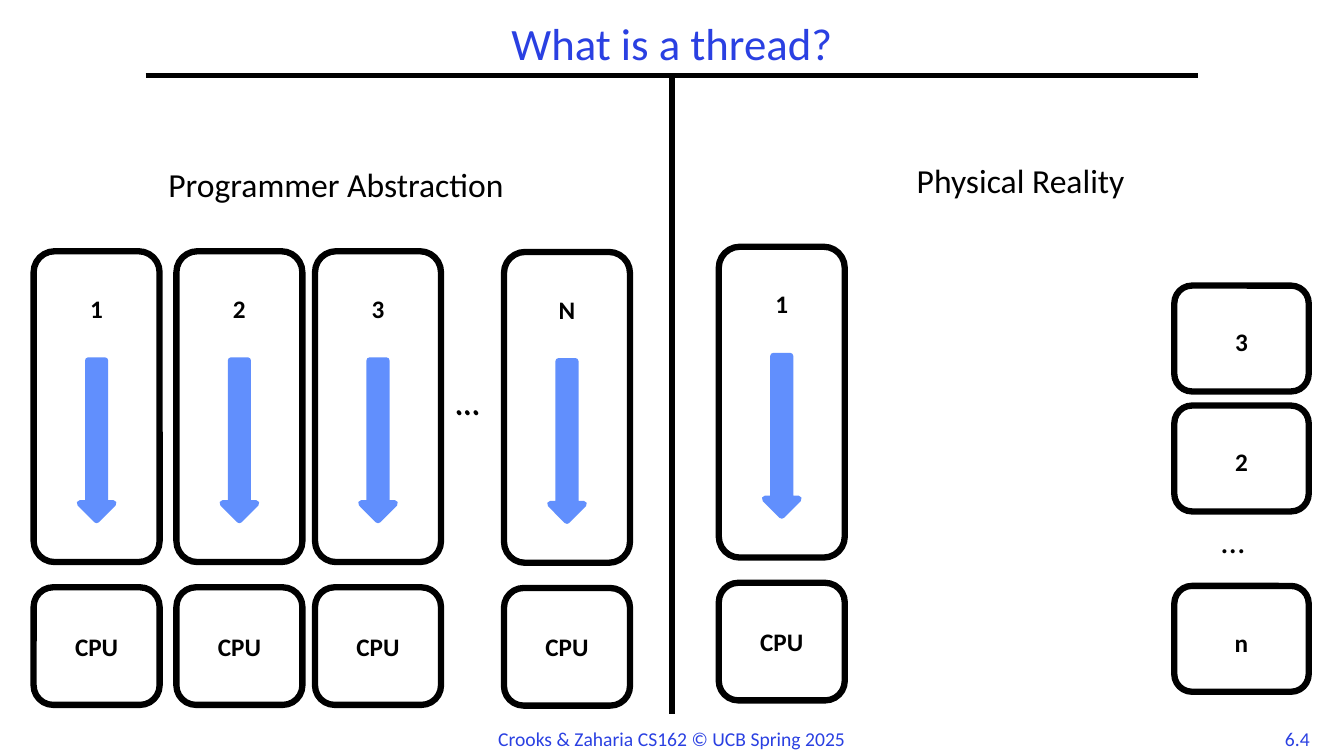
from dataclasses import dataclass

from lxml.etree import SubElement
from pptx import Presentation
from pptx.dml.color import RGBColor
from pptx.enum.shapes import MSO_CONNECTOR as Connector, MSO_SHAPE as Preset
from pptx.enum.text import MSO_ANCHOR as Anchor, PP_ALIGN as Align
from pptx.oxml.ns import qn
from pptx.util import Pt

FONT = "Calibri"
BLACK, WHITE, TITLE_BLUE, ARROW_BLUE = "000000", "FFFFFF", "2A40E2", "618FFD"
OUTLINE = 4.5
LABEL_INSET = 25.6  # drops a label one line below the top of its box


@dataclass
class Label:
    text: str
    left: float
    top: float
    width: float
    height: float
    size: float
    color: str = BLACK
    anchor: Anchor = Anchor.TOP
    line_spacing: float = 1.0
    wrap: bool = True


@dataclass
class Thread:
    name: str
    left: float
    top: float


@dataclass
class WaitingThread:
    name: str
    top: float


@dataclass
class Rule:
    start: tuple[float, float]
    end: tuple[float, float]
    width: float


LABELS = [
    Label("6.4", 905.8, 515.5, 41.8, 24, 14, TITLE_BLUE, wrap=False),
    Label("Crooks & Zaharia CS162 © UCB Spring 2025", 347.8, 515.5, 264.2, 24, 14,
          TITLE_BLUE, wrap=False),
    Label("What is a thread?", 104, 12, 752, 42, 32, TITLE_BLUE, Anchor.MIDDLE, 0.9),
    Label("Programmer Abstraction", 48, 116.6, 384, 42, 24, line_spacing=0.9),
    Label("Physical Reality", 537, 113.8, 384, 42, 24, line_spacing=0.9),
    Label("… ", 299, 268.8, 75, 36, 24),
    Label("… ", 299.5, 269.2, 75, 36, 24),
    Label("… ", 846, 368, 75, 36, 24),
]
THREADS = [
    Thread("1", 24, 179.5),
    Thread("2", 126, 179.5),
    Thread("3", 225, 179.5),
    Thread("N", 360, 180),
    Thread("1", 513.4, 176.3),
]
WAITING_THREADS = [
    WaitingThread("3", 204),
    WaitingThread("2", 289.7),
    WaitingThread("n", 418.5),
]
RULES = [
    Rule((104, 54), (856, 54), 3),
    Rule((480, 54), (480, 510), OUTLINE),
]


def rgb(color: str) -> RGBColor:
    return RGBColor.from_string(color)


def add_run(paragraph, text: str, size: float, color: str, bold: bool = False) -> None:
    paragraph.alignment = Align.CENTER
    run = paragraph.add_run()
    run.text = text
    run.font.name = FONT
    run.font.size = Pt(size)
    run.font.bold = bold
    run.font.color.rgb = rgb(color)


def add_label(slide, label: Label) -> None:
    box = slide.shapes.add_textbox(
        Pt(label.left), Pt(label.top), Pt(label.width), Pt(label.height))
    frame = box.text_frame
    frame.word_wrap = label.wrap
    frame.vertical_anchor = label.anchor
    paragraph = frame.paragraphs[0]
    paragraph.line_spacing = label.line_spacing
    add_run(paragraph, label.text, label.size, label.color)


def add_outlined(slide, preset: Preset, left: float, top: float, width: float,
                 height: float, fill: str, line: str):
    shape = slide.shapes.add_shape(preset, Pt(left), Pt(top), Pt(width), Pt(height))
    shape.shadow.inherit = False
    shape.fill.solid()
    shape.fill.fore_color.rgb = rgb(fill)
    shape.line.color.rgb = rgb(line)
    shape.line.width = Pt(OUTLINE)
    return shape


def add_box(slide, text: str, left: float, top: float, width: float, height: float,
            centered: bool = False) -> None:
    shape = add_outlined(slide, Preset.ROUNDED_RECTANGLE, left, top, width, height,
                         WHITE, BLACK)
    frame = shape.text_frame
    frame.vertical_anchor = Anchor.MIDDLE if centered else Anchor.TOP
    if not centered:
        frame.margin_top = Pt(LABEL_INSET)
    add_run(frame.paragraphs[0], text, 18, BLACK, bold=True)


def add_thread(slide, thread: Thread) -> None:
    left, top = thread.left, thread.top
    add_box(slide, thread.name, left, top, 90, 222)
    add_box(slide, "CPU", left, top + 240, 90, 84, centered=True)
    add_outlined(slide, Preset.DOWN_ARROW, left + 33, top + 78, 24, 114,
                 ARROW_BLUE, ARROW_BLUE)


def add_rule(slide, rule: Rule) -> None:
    connector = slide.shapes.add_connector(
        Connector.STRAIGHT, *map(Pt, rule.start + rule.end))
    connector.line.color.rgb = rgb(BLACK)
    connector.line.width = Pt(rule.width)
    SubElement(connector._element.spPr, qn("a:effectLst"))


def main() -> None:
    presentation = Presentation()
    presentation.slide_width, presentation.slide_height = Pt(960), Pt(540)
    slide = presentation.slides.add_slide(presentation.slide_layouts[6])

    # Threads, each on its own CPU
    for thread in THREADS:
        add_thread(slide, thread)

    # Threads waiting for the one physical CPU
    for waiting in WAITING_THREADS:
        add_box(slide, waiting.name, 838.8, waiting.top, 96, 75.6)

    # Title, headings, ellipses and footer
    for label in LABELS:
        add_label(slide, label)

    # Title rule and the divider between the halves
    for rule in RULES:
        add_rule(slide, rule)

    presentation.save("out.pptx")


if __name__ == "__main__":
    main()
